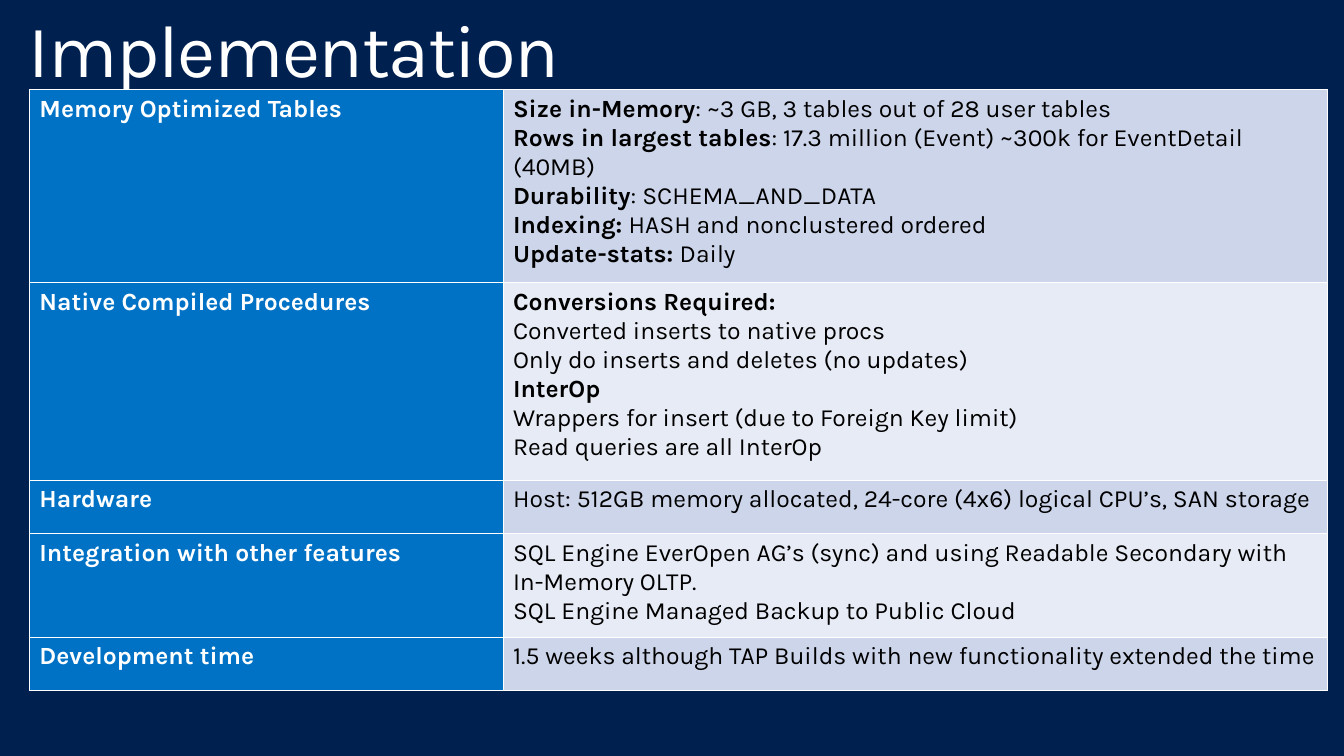
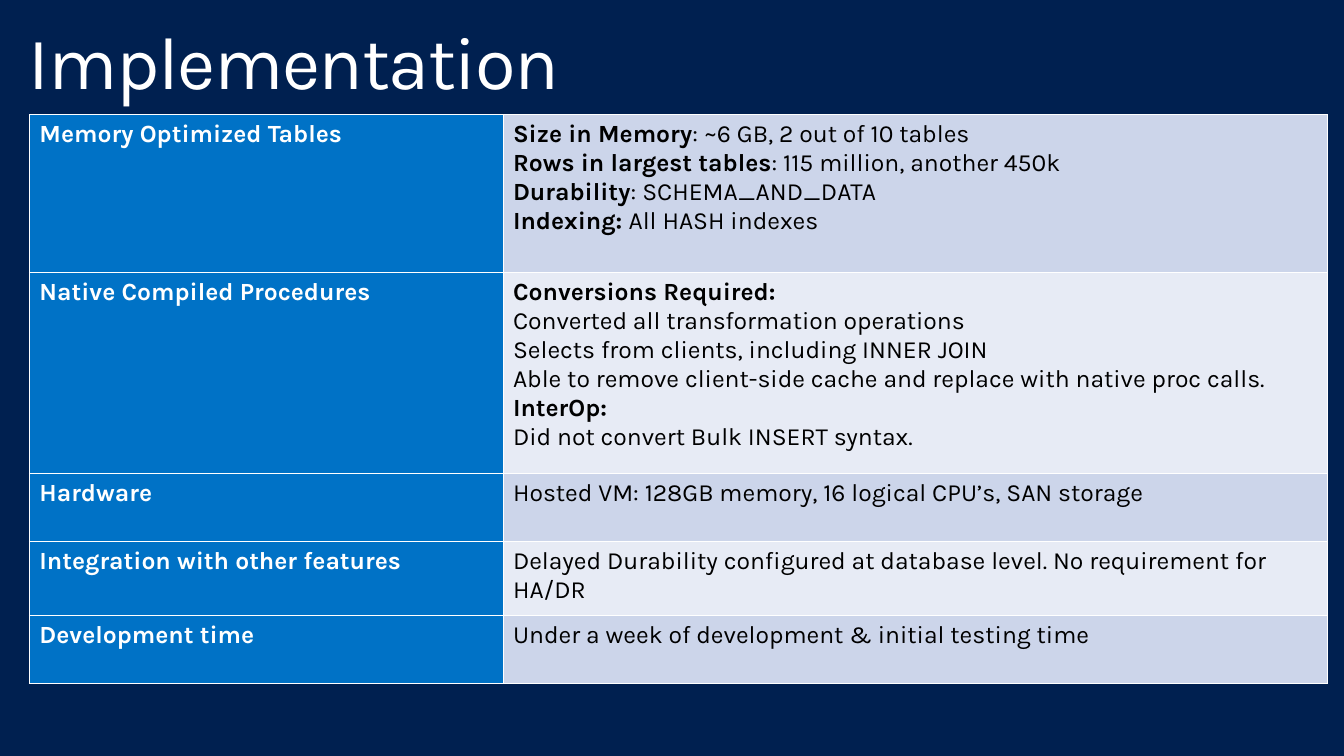
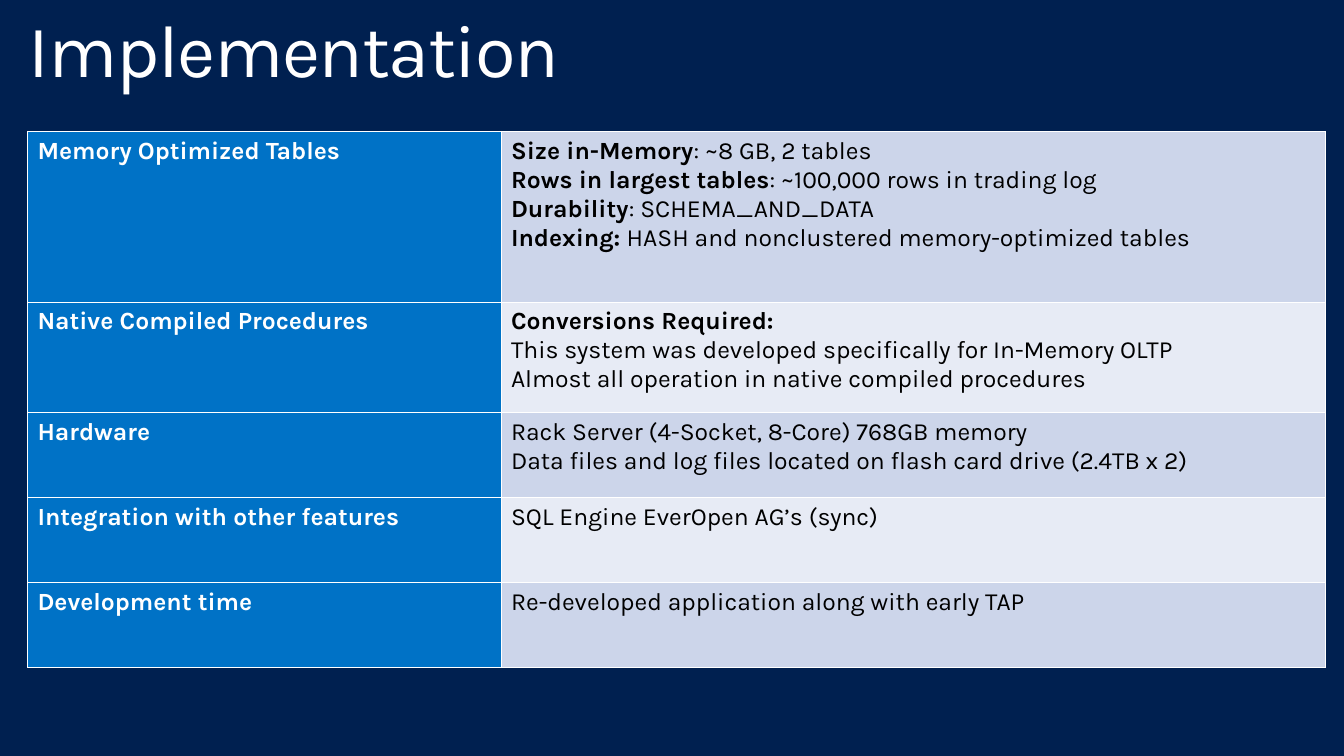
from lxml import etree
from pptx import Presentation
from pptx.dml.color import RGBColor
from pptx.enum.text import MSO_ANCHOR, MSO_AUTO_SIZE, PP_ALIGN
from pptx.oxml.ns import qn
from pptx.util import Cm, Pt

TOP = MSO_ANCHOR.TOP
LEFT = PP_ALIGN.LEFT
NO_AUTOFIT = MSO_AUTO_SIZE.NONE
TITLE_ONLY = 5

COLORS = {
    "background": "002050",
    "label": "0072C6",
    "odd row": "CCD5EA",
    "even row": "E7EBF5",
    "white": "FFFFFF",
    "black": "000000",
}
FONT = "Karla"
COLUMN_WIDTHS = (12.17, 21.18)
LABELS = (
    "Memory Optimized Tables",
    "Native Compiled Procedures",
    "Hardware",
    "Integration with other features",
    "Development time",
)

# Each row holds paragraphs; each paragraph is a bold part and a plain part.
SLIDES = (
    {
        "title": (0.1, 2.54),
        "table": (0.76, 2.31),
        "heights": (4.95, 5.08, 1.37, 2.67, 1.37),
        "rows": (
            [("Size in-Memory", ": ~3 GB, 3 tables out of 28 user tables"),
             ("Rows in largest tables",
              ": 17.3 million (Event) ~300k for EventDetail (40MB)"),
             ("Durability", ": SCHEMA_AND_DATA"),
             ("Indexing: ", "HASH and nonclustered ordered"),
             ("Update-stats: ", "Daily")],
            [("Conversions Required:", ""),
             ("", "Converted inserts to native procs"),
             ("", "Only do inserts and deletes (no updates)"),
             ("InterOp", ""),
             ("", "Wrappers for insert (due to Foreign Key limit)"),
             ("", "Read queries are all InterOp")],
            [("", "Host: 512GB memory allocated, 24-core (4x6) logical CPU’s, "
                  "SAN storage")],
            [("", "SQL Engine EverOpen AG’s (sync) and using Readable Secondary "
                  "with In-Memory OLTP."),
             ("", "SQL Engine Managed Backup to Public Cloud")],
            [("", "1.5 weeks although TAP Builds with new functionality "
                  "extended the time")],
        ),
    },
    {
        "title": (0.41, 2.54),
        "table": (0.76, 2.95),
        "heights": (4.06, 5.16, 1.75, 1.9, 1.75),
        "rows": (
            [("Size in Memory", ": ~6 GB, 2 out of 10 tables"),
             ("Rows in largest tables", ": 115 million, another 450k"),
             ("Durability", ": SCHEMA_AND_DATA"),
             ("Indexing: ", "All HASH indexes")],
            [("Conversions Required:", ""),
             ("", "Converted all transformation operations"),
             ("", "Selects from clients, including INNER JOIN"),
             ("", "Able to remove client-side cache and replace with native "
                  "proc calls."),
             ("InterOp:", ""),
             ("", "Did not convert Bulk INSERT syntax.")],
            [("", "Hosted VM: 128GB memory, 16 logical CPU’s, SAN storage")],
            [("", "Delayed Durability configured at database level. "
                  "No requirement for HA/DR")],
            [("", "Under a week of development & initial testing time")],
        ),
    },
    {
        "title": (0.1, 1.98),
        "table": (0.71, 3.38),
        "heights": (4.39, 2.84, 2.18, 2.18, 2.18),
        "rows": (
            [("Size in-Memory", ": ~8 GB, 2 tables"),
             ("Rows in largest tables", ": ~100,000 rows in trading log"),
             ("Durability", ": SCHEMA_AND_DATA"),
             ("Indexing: ", "HASH and nonclustered memory-optimized tables")],
            [("Conversions Required:", ""),
             ("", "This system was developed specifically for In-Memory OLTP"),
             ("", "Almost all operation in native compiled procedures")],
            [("", "Rack Server (4-Socket, 8-Core) 768GB memory"),
             ("", "Data files and log files located on flash card drive "
                  "(2.4TB x 2)")],
            [("", "SQL Engine EverOpen AG’s (sync)")],
            [("", "Re-developed application along with early TAP")],
        ),
    },
)


def rgb(name):
    return RGBColor.from_string(COLORS[name])


class Builder:
    """Holds the shared style and the current slide."""

    def __init__(self):
        self.deck = Presentation()
        self.deck.slide_width = Cm(34.54)
        self.deck.slide_height = Cm(19.43)
        fill = self.deck.slide_master.background.fill
        fill.solid()
        fill.fore_color.rgb = rgb("background")
        self.page = None

    def add_page(self):
        layout = self.deck.slide_layouts[TITLE_ONLY]
        self.page = self.deck.slides.add_slide(layout)

    def add_span(self, para, text, size, color, bold=False):
        span = para.add_run()
        span.text = text
        span.font.name = FONT
        span.font.size = Pt(size)
        span.font.bold = bold
        span.font.color.rgb = rgb(color)
        return span

    def add_title(self, text, top, height):
        box = self.page.shapes.title
        box.left, box.top = Cm(0.33), Cm(top)
        box.width, box.height = Cm(33.02), Cm(height)
        frame = box.text_frame
        frame.word_wrap = True
        frame.auto_size = NO_AUTOFIT
        frame.vertical_anchor = TOP
        frame.margin_left = frame.margin_right = Cm(0.41)
        frame.margin_top = frame.margin_bottom = Cm(0.25)
        para = frame.paragraphs[0]
        para.alignment = LEFT
        para.line_spacing = 0.9
        span = self.add_span(para, text, 54, "white")
        span.font._element.set("spc", "-100")

    def add_borders(self, cell):
        properties = cell._tc.get_or_add_tcPr()
        for side in ("a:lnL", "a:lnR", "a:lnT", "a:lnB"):
            line = etree.SubElement(properties, qn(side), w=str(Pt(1)))
            fill = etree.SubElement(line, qn("a:solidFill"))
            etree.SubElement(fill, qn("a:srgbClr"), val=COLORS["white"])

    def fill_cell(self, cell, paragraphs, fill_color, text_color):
        self.add_borders(cell)
        cell.fill.solid()
        cell.fill.fore_color.rgb = rgb(fill_color)
        frame = cell.text_frame
        for index, (strong, plain) in enumerate(paragraphs):
            para = frame.add_paragraph() if index else frame.paragraphs[0]
            for text, bold in ((strong, True), (plain, False)):
                if text:
                    self.add_span(para, text, 18, text_color, bold)

    def add_facts_table(self, left, top, heights, rows):
        table = self.page.shapes.add_table(
            len(rows), len(COLUMN_WIDTHS), Cm(left), Cm(top),
            Cm(sum(COLUMN_WIDTHS)), Cm(sum(heights))).table
        table.first_row = table.horz_banding = False
        for column, width in zip(table.columns, COLUMN_WIDTHS):
            column.width = Cm(width)
        for index, (label, paragraphs) in enumerate(zip(LABELS, rows)):
            table.rows[index].height = Cm(heights[index])
            band = "even row" if index % 2 else "odd row"
            self.fill_cell(table.cell(index, 0), [(label, "")], "label", "white")
            self.fill_cell(table.cell(index, 1), paragraphs, band, "black")


def main():
    builder = Builder()
    for content in SLIDES:
        builder.add_page()
        builder.add_title("Implementation", *content["title"])
        builder.add_facts_table(
            *content["table"], content["heights"], content["rows"])
    builder.deck.save("out.pptx")


if __name__ == "__main__":
    main()
